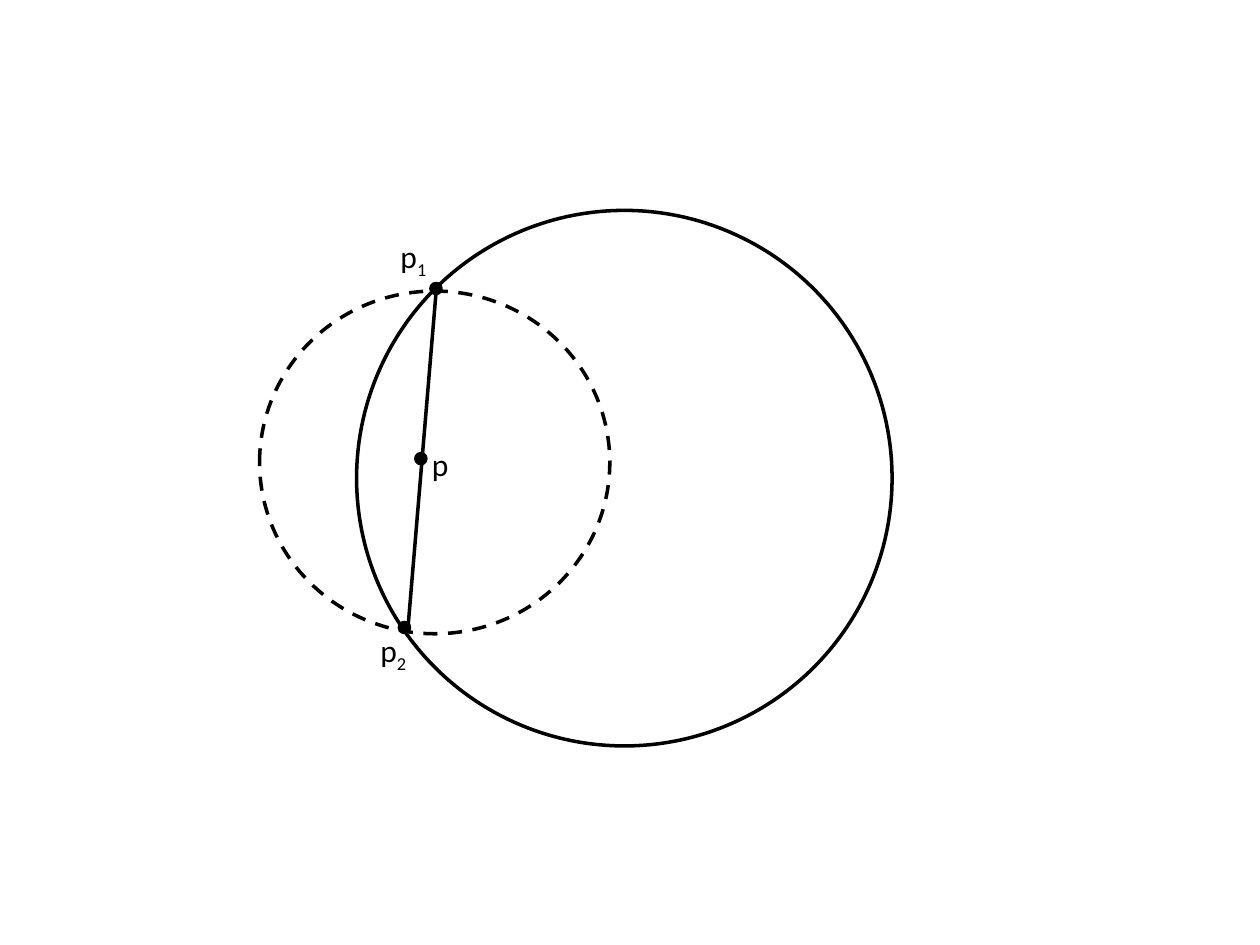
import pptx
import pptx.dml.color
import pptx.enum.dml
import pptx.enum.shapes
import pptx.enum.text
import pptx.oxml.ns
import pptx.util
from lxml import etree
from pptx.util import Inches

THEME = {
    "ink": pptx.dml.color.RGBColor(0, 0, 0),
    "font": "Calibri",
    "size": pptx.util.Pt(18),
    "line": pptx.util.Pt(2),
    "subscript": "-25000",
}
DASH = pptx.enum.dml.MSO_LINE.DASH

# Content, in inches
POINT_SIZE = 0.08
LARGE_CIRCLE = (2.83, 1.67, 4.25, 4.25)  # left, top, width, height
DASHED_CIRCLE = (2.06, 2.31, 2.78, 2.72)
CHORD = ((3.46, 2.33), (3.24, 4.96))
POINT_CENTRES = [(3.46, 2.29), (3.21, 4.98), (3.34, 3.64)]
LABELS = [  # letter, subscript, left, top, width
    ("p", "2", 2.92, 4.96, 0.42),
    ("p", "1", 3.08, 1.83, 0.42),
    ("p", "", 3.33, 3.48, 0.34),
]
LABEL_HEIGHT = 0.4


def style_line(line, dash=None):
    line.color.rgb = THEME["ink"]
    line.width = THEME["line"]
    if dash:
        line.dash_style = dash


def add_ellipse(slide, box, filled=False, dash=None):
    shape = slide.shapes.add_shape(
        pptx.enum.shapes.MSO_SHAPE.OVAL, *map(Inches, box))
    shape.shadow.inherit = False
    if filled:
        shape.fill.solid()
        shape.fill.fore_color.rgb = THEME["ink"]
    else:
        shape.fill.background()
    style_line(shape.line, dash)


def add_chord(slide, start, end):
    connector = slide.shapes.add_connector(
        pptx.enum.shapes.MSO_CONNECTOR.STRAIGHT, *map(Inches, start + end))
    style_line(connector.line)
    etree.SubElement(connector._element.spPr, pptx.oxml.ns.qn("a:effectLst"))


def add_label(slide, letter, subscript, left, top, width):
    box = slide.shapes.add_textbox(
        *map(Inches, (left, top, width, LABEL_HEIGHT)))
    frame = box.text_frame
    frame.word_wrap = False
    frame.auto_size = pptx.enum.text.MSO_AUTO_SIZE.SHAPE_TO_FIT_TEXT
    paragraph = frame.paragraphs[0]
    paragraph.font.name = THEME["font"]
    paragraph.font.size = THEME["size"]
    paragraph.font.color.rgb = THEME["ink"]
    paragraph.add_run().text = letter
    if subscript:
        run = paragraph.add_run()
        run.text = subscript
        run._r.get_or_add_rPr().set("baseline", THEME["subscript"])


def main():
    presentation = pptx.Presentation()
    presentation.slide_width = Inches(10)
    presentation.slide_height = Inches(7.5)
    slide = presentation.slides.add_slide(presentation.slide_layouts[6])

    # Circles and the chord they share
    add_ellipse(slide, LARGE_CIRCLE)
    add_chord(slide, *CHORD)
    add_ellipse(slide, DASHED_CIRCLE, dash=DASH)

    # Points and their labels
    for x, y in POINT_CENTRES:
        corner = (x - POINT_SIZE / 2, y - POINT_SIZE / 2)
        add_ellipse(slide, corner + (POINT_SIZE, POINT_SIZE), filled=True)
    for label in LABELS:
        add_label(slide, *label)

    presentation.save("out.pptx")


if __name__ == "__main__":
    main()
